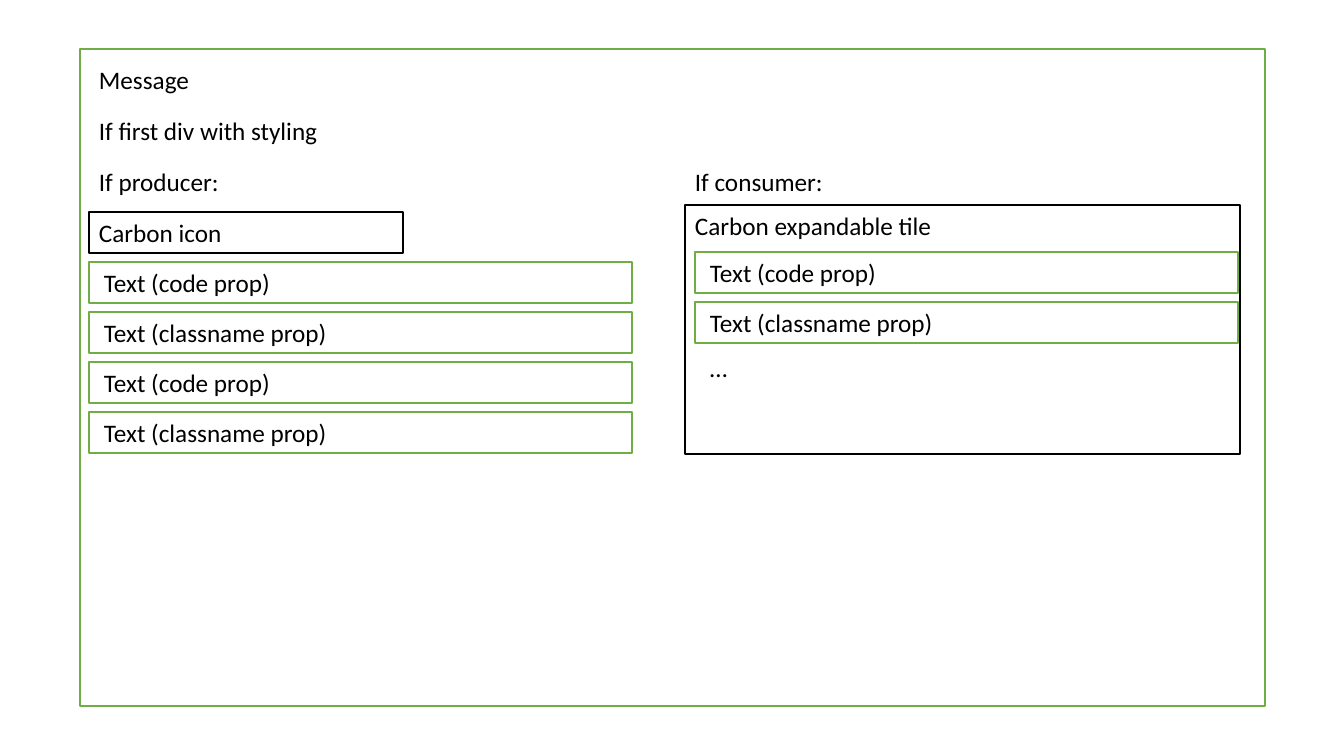
import pptx
import pptx.util
import pptx.dml.color
import pptx.enum.shapes
import pptx.enum.text

# Content: text, left, top, width (pixels)
HEADINGS = [
    ("Message", 89, 59, 111),
    ("If first div with styling", 89, 110, 241),
    ("If producer:", 89, 161, 142),
    ("If consumer:", 685, 161, 150),
]
PROPS = [("Text (code prop)", 188), ("Text (classname prop)", 246)]
ELLIPSIS = ("…", 700, 347, 38)

# Layout in pixels
PX = 914400 / 100.8
ROW_HEIGHT = 41
ROW_WIDTH = 543
ROW_STEP = 50
ROW_INDENT = 5
MESSAGE_FRAME = (80, 49, 1185, 657)
CARBON_ICON = (89, 212, 314, ROW_HEIGHT)
CARBON_TILE = (685, 205, 555, 249)
PRODUCER_ROWS = (89, 262)
CONSUMER_ROWS = (695, 252)
GREEN, BLACK = "70AD47", "000000"


def color(value):
    return pptx.dml.color.RGBColor.from_string(value)


def emu(*pixels):
    return [pptx.util.Emu(round(p * PX)) for p in pixels]


deck = pptx.Presentation()
deck.slide_width, deck.slide_height = emu(1344, 756)
slide = deck.slides.add_slide(deck.slide_layouts[6])


def add_frame(left, top, width, height, line):
    frame = slide.shapes.add_shape(
        pptx.enum.shapes.MSO_SHAPE.RECTANGLE, *emu(left, top, width, height))
    frame.shadow.inherit = False
    frame.fill.background()
    frame.line.color.rgb = color(line)
    frame.line.width = pptx.util.Pt(1)


def add_label(text, left, top, width):
    label = slide.shapes.add_textbox(*emu(left, top, width, ROW_HEIGHT))
    label.text_frame.word_wrap = False
    label.text_frame.auto_size = pptx.enum.text.MSO_AUTO_SIZE.SHAPE_TO_FIT_TEXT
    label.text_frame.text = text
    font = label.text_frame.paragraphs[0].runs[0].font
    font.name = "Calibri"
    font.size = pptx.util.Pt(18)
    font.color.rgb = color(BLACK)


def add_rows(left, top, rows):
    for i, (text, width) in enumerate(rows):
        row_top = top + i * ROW_STEP
        add_frame(left, row_top, ROW_WIDTH, ROW_HEIGHT, GREEN)
        add_label(text, left + ROW_INDENT, row_top, width)


# Message frame and headings
add_frame(*MESSAGE_FRAME, GREEN)
for heading in HEADINGS:
    add_label(*heading)

# Producer column
add_frame(*CARBON_ICON, BLACK)
add_label("Carbon icon", *CARBON_ICON[:2], 144)
add_rows(*PRODUCER_ROWS, PROPS * 2)

# Consumer column
add_frame(*CARBON_TILE, BLACK)
add_label("Carbon expandable tile", *CARBON_TILE[:2], 260)
add_rows(*CONSUMER_ROWS, PROPS)
add_label(*ELLIPSIS)

deck.save("out.pptx")
